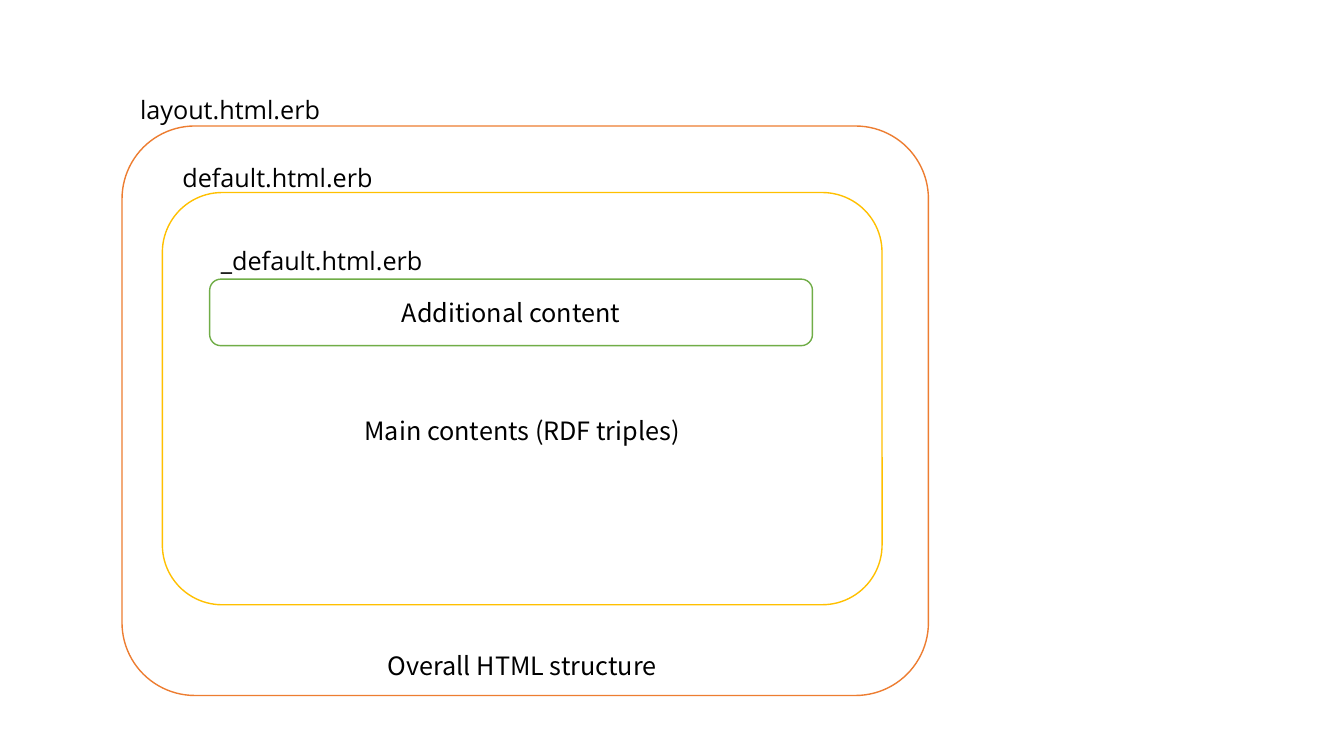
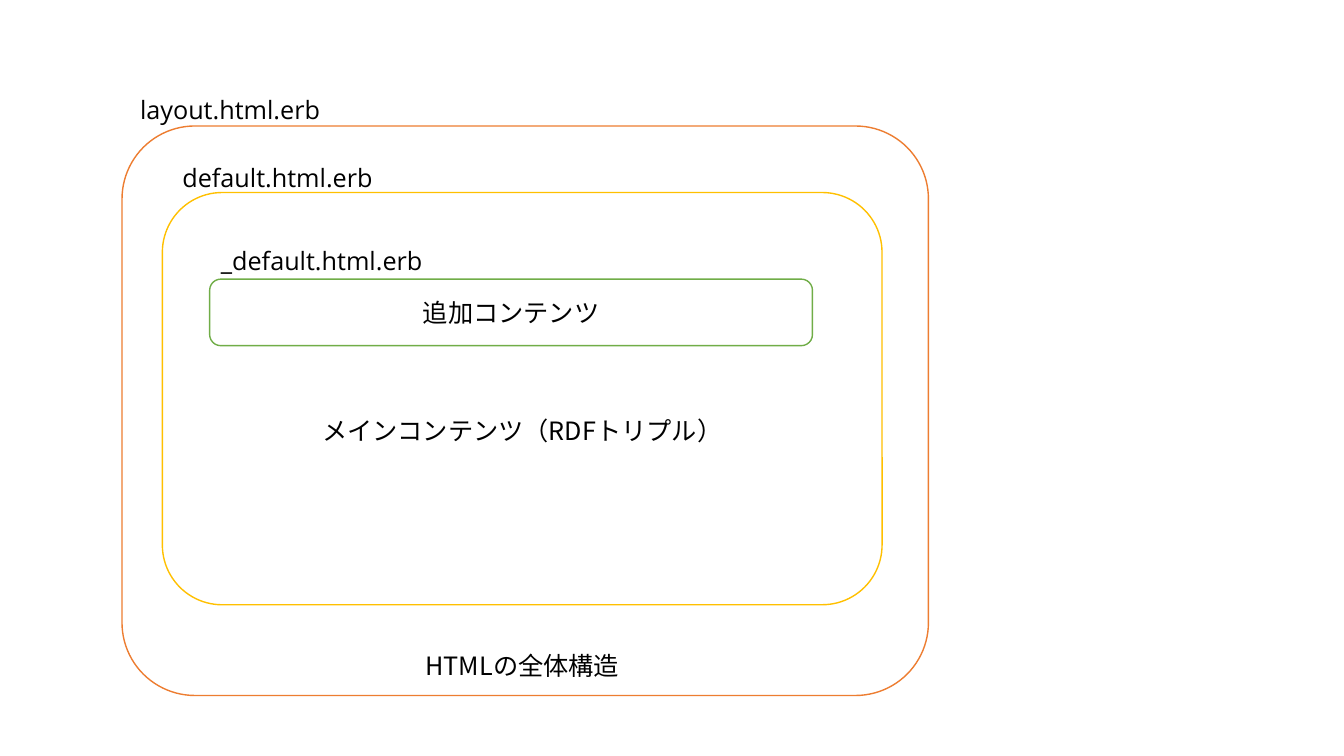
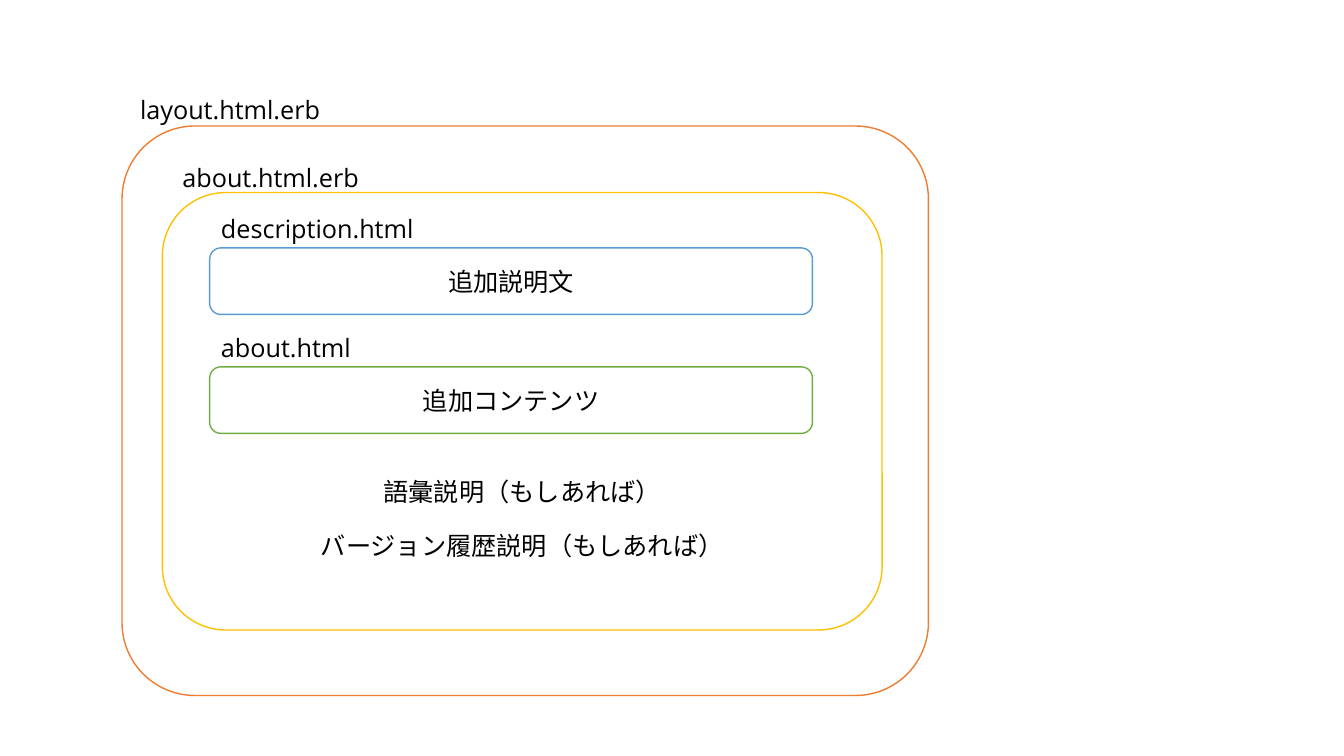
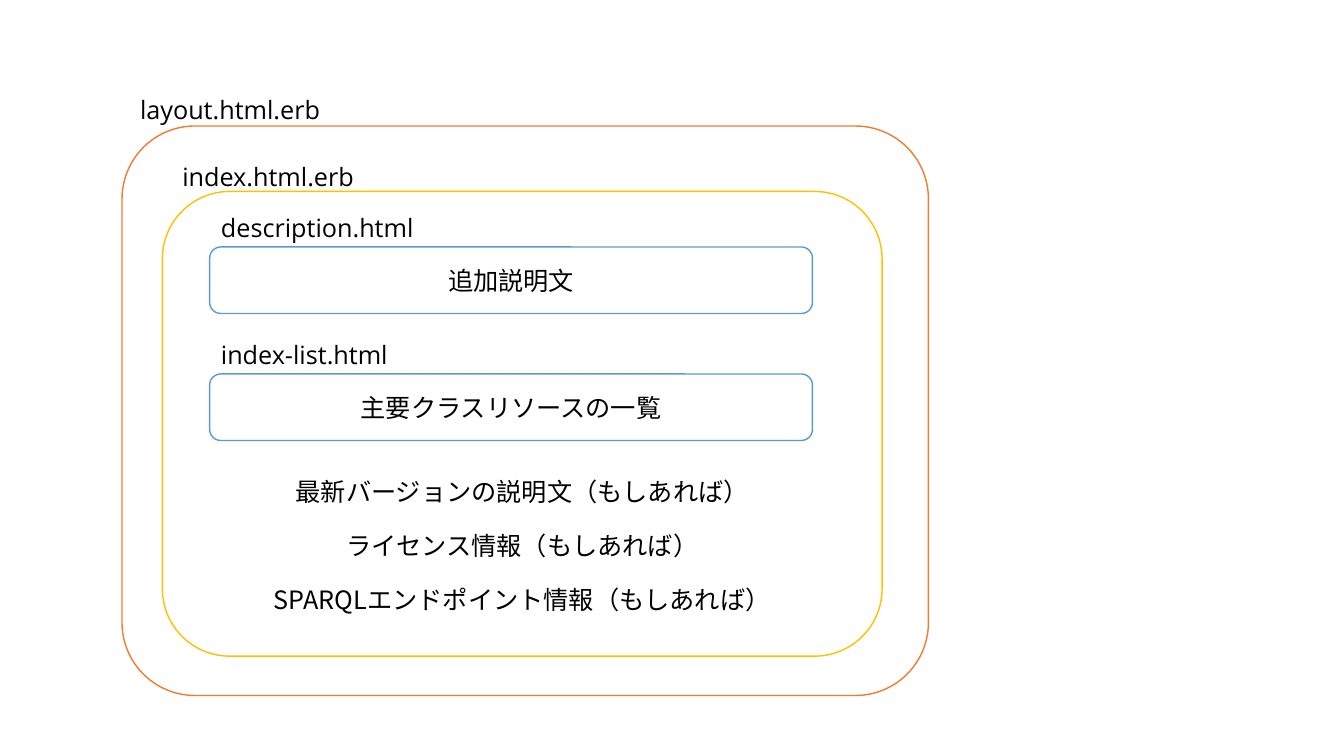
"""Build four slides of nested page-template diagrams."""
from dataclasses import dataclass

from pptx import Presentation
from pptx.dml.color import RGBColor
from pptx.enum.shapes import MSO_SHAPE as Shape
from pptx.enum.text import MSO_ANCHOR as Anchor, PP_ALIGN as Align
from pptx.oxml.ns import qn
from pptx.slide import Slide
from pptx.text.text import TextFrame
from pptx.util import Inches, Pt

WIDTH, HEIGHT = Inches(13.33), Inches(7.5)


@dataclass(frozen=True)
class Theme:
    """Colours, fonts and sizes shared by all slides."""
    page: str = "FFFFFF"
    ink: str = "000000"
    layout: str = "ED7D31"
    view: str = "FFC000"
    content: str = "70AD47"
    description: str = "5B9BD5"
    label_font: str = "Open Sans"
    body_font: str = "Noto Sans CJK JP"
    size: int = 18
    line: int = 1
    gap: int = 17


@dataclass(frozen=True)
class Level:
    """Horizontal place, rounding and label offset of one nesting level."""
    x: float
    w: float
    rounding: float
    label_dx: float
    label_dy: float


@dataclass(frozen=True)
class Frame:
    """A labelled frame, with lengths as percentages of the slide."""
    level: Level
    label: str
    label_w: float
    y: float
    h: float
    color: str
    lines: tuple[str, ...] = ()
    text_y: float | None = None


@dataclass(frozen=True)
class Page:
    """The frames of one slide and its optional caption."""
    frames: tuple[Frame, ...]
    caption: str = ""
    caption_w: float = 0


THEME = Theme()
OUTER = Level(9.08, 60, 0.128, 0.6, 4.8)
MIDDLE = Level(12.08, 53.55, 0.145, 0.75, 4.67)
INNER = Level(15.6, 44.85, 0.167, 0.1, 5.2)
LABEL_H = 5.33
CAPTION_Y = 85.33
CAPTION_CENTER = 38.86


def across(share: float) -> int:
    """Turn a percentage of the slide width into a length."""
    return round(WIDTH * share / 100)


def down(share: float) -> int:
    """Turn a percentage of the slide height into a length."""
    return round(HEIGHT * share / 100)


def write(tf: TextFrame, *lines: str, font: str = THEME.body_font,
          align: Align = Align.CENTER, color: str = THEME.ink,
          size: int = THEME.size, gap: int = THEME.gap) -> None:
    """Fill a text frame with evenly spaced, vertically centred lines."""
    tf.word_wrap = True
    tf.vertical_anchor = Anchor.MIDDLE
    for i, line in enumerate(lines):
        p = tf.add_paragraph() if i else tf.paragraphs[0]
        p.alignment = align
        p.space_before = Pt(gap if i else 0)
        r = p.add_run()
        r.text = line
        r.font.size = Pt(size)
        r.font.color.rgb = RGBColor.from_string(color)
        r.font.name = font
        r.font._element.get_or_add_latin().addnext(
            r.font._element.makeelement(qn("a:ea"), {"typeface": font}))


def add_text(slide: Slide, text: str, x: float, y: float, w: float, **fmt) -> None:
    """Add a one-line text box."""
    box = slide.shapes.add_textbox(across(x), down(y), across(w), down(LABEL_H))
    write(box.text_frame, text, **fmt)


def add_frame(slide: Slide, frame: Frame) -> None:
    """Draw a rounded frame, its lines of text and its file name."""
    level = frame.level
    sp = slide.shapes.add_shape(Shape.ROUNDED_RECTANGLE, across(level.x),
                                down(frame.y), across(level.w), down(frame.h))
    sp.adjustments[0] = level.rounding
    sp.shadow.inherit = False
    sp.fill.solid()
    sp.fill.fore_color.rgb = RGBColor.from_string(THEME.page)
    sp.line.color.rgb = RGBColor.from_string(frame.color)
    sp.line.width = Pt(THEME.line)
    tf = sp.text_frame
    if frame.text_y is not None:
        tf.margin_top = tf.margin_bottom + 2 * down(
            frame.text_y - frame.y - frame.h / 2)
    write(tf, *frame.lines)
    add_text(slide, frame.label, level.x + level.label_dx,
             frame.y - level.label_dy, frame.label_w,
             font=THEME.label_font, align=Align.LEFT)


def inner(label: str, label_w: float, y: float, color: str, text: str) -> Frame:
    """Describe a one-line frame of the innermost level."""
    return Frame(INNER, label, label_w, y, 8.8, color, (text,))


def default_page(main: str, extra: str, caption: str, caption_w: float) -> Page:
    """Describe the default template in one language."""
    return Page((
        LAYOUT,
        Frame(MIDDLE, "default.html.erb", 16.88, 25.47, 54.53, THEME.view,
              (main,), 56.88),
        inner("_default.html.erb", 18.08, 36.93, THEME.content, extra),
    ), caption, caption_w)


def description(y: float) -> Frame:
    """Describe the frame of the additional description."""
    return inner("description.html", 16.95, y, THEME.description, "追加説明文")


LAYOUT = Frame(OUTER, "layout.html.erb", 16.13, 16.67, 75.33, THEME.layout)
PAGES = (
    default_page("Main contents (RDF triples)", "Additional content",
                 "Overall HTML structure", 22.06),
    default_page("メインコンテンツ（RDFトリプル）", "追加コンテンツ",
                 "HTMLの全体構造", 16.43),
    Page((
        LAYOUT,
        Frame(MIDDLE, "about.html.erb", 15.75, 25.47, 57.87, THEME.view,
              ("語彙説明（もしあれば）", "バージョン履歴説明（もしあれば）"), 68.52),
        inner("about.html", 11.93, 48.53, THEME.content, "追加コンテンツ"),
        description(32.8),
    )),
    Page((
        LAYOUT,
        Frame(MIDDLE, "index.html.erb", 15.45, 25.33, 61.47, THEME.view,
              ("最新バージョンの説明文（もしあれば）",
               "ライセンス情報（もしあれば）",
               "SPARQLエンドポイント情報（もしあれば）"), 72.09),
        description(32.67),
        inner("index-list.html", 15.23, 49.47, THEME.description,
              "主要クラスリソースの一覧"),
    )),
)


def main() -> None:
    """Build and save the presentation."""
    prs = Presentation()
    prs.slide_width, prs.slide_height = WIDTH, HEIGHT
    for page in PAGES:
        slide = prs.slides.add_slide(prs.slide_layouts[6])
        for frame in page.frames:
            add_frame(slide, frame)
        if page.caption:
            add_text(slide, page.caption, CAPTION_CENTER - page.caption_w / 2,
                     CAPTION_Y, page.caption_w)
    prs.save("out.pptx")


if __name__ == "__main__":
    main()
